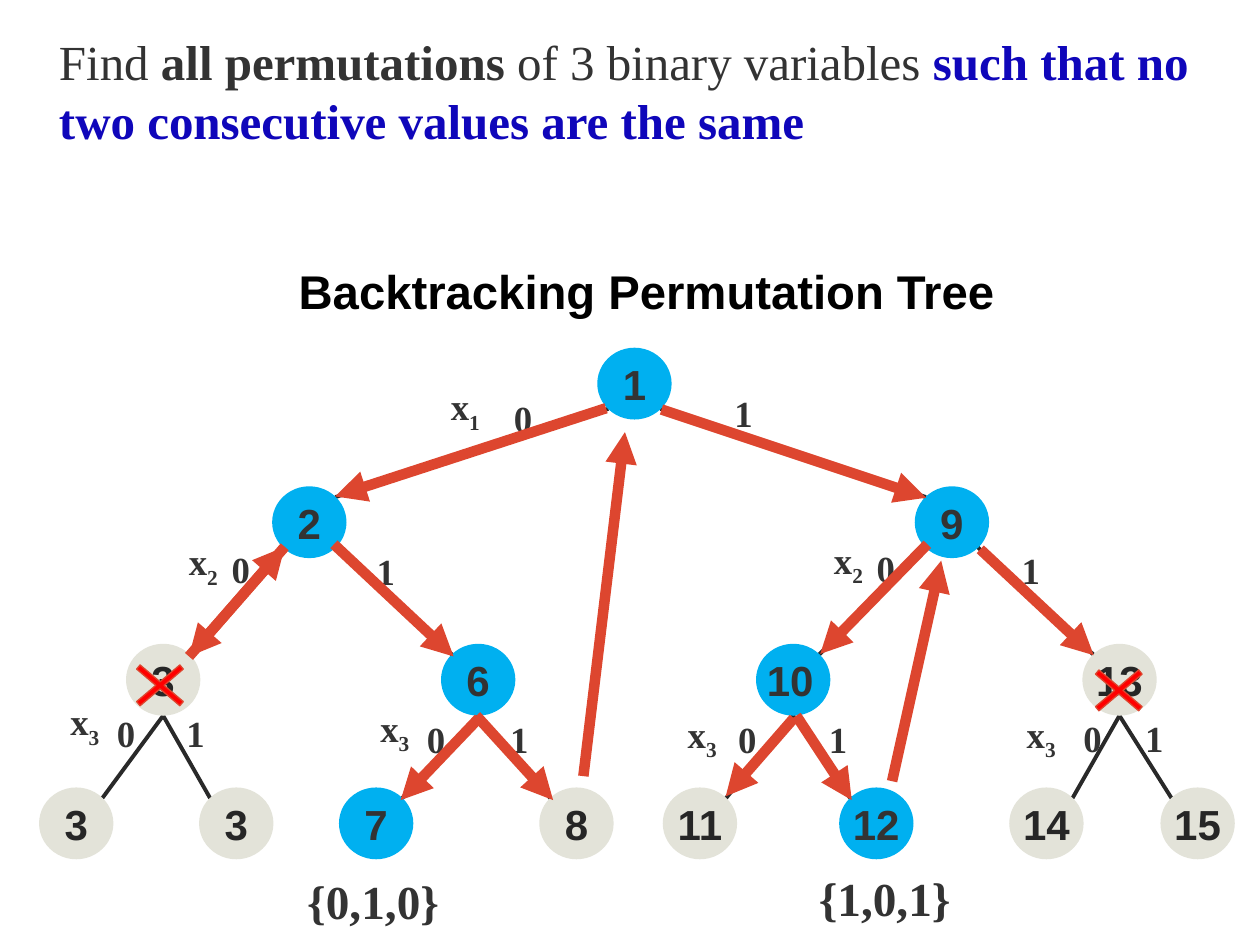
from lxml.etree import SubElement
from pptx import Presentation
from pptx.dml.color import RGBColor
from pptx.enum.shapes import MSO_CONNECTOR, MSO_SHAPE
from pptx.enum.text import MSO_ANCHOR, MSO_AUTO_SIZE, PP_ALIGN
from pptx.oxml.ns import qn
from pptx.util import Emu, Pt

SERIF, SANS = "Times New Roman", "Arial"
BLACK, DARK, INK, NAVY = "000000", "333333", "262626", "0F06BA"
EDGE, RED, CROSS = "292929", "DD462F", "FF0000"
VISITED, PRUNED = "00B0F0", "E3E3D9"
NODE_W, NODE_H = 59, 57


def px(n):
    return Emu(round(n * 9144))


def rgb(value):
    return RGBColor.from_string(value)


class Canvas:
    def __init__(self, s):
        self.s = s

    def style(self, r, size, font, color, bold=True):
        r.font.size = Pt(size)
        r.font.name = font
        r.font.bold = bold
        r.font.color.rgb = rgb(color)

    def title(self, text, x, y, w, h):
        sp = self.s.shapes.title
        sp.left, sp.top, sp.width, sp.height = map(px, (x, y, w, h))
        tf = sp.text_frame
        tf.text = text
        tf.vertical_anchor = MSO_ANCHOR.MIDDLE
        tf.paragraphs[0].alignment = PP_ALIGN.LEFT
        self.style(tf.paragraphs[0].runs[0], 27, SANS, BLACK)

    def box(self, x, y, w, h, wrap=True):
        tf = self.s.shapes.add_textbox(*map(px, (x, y, w, h))).text_frame
        tf.word_wrap = wrap
        tf.auto_size = MSO_AUTO_SIZE.SHAPE_TO_FIT_TEXT
        return tf.paragraphs[0]

    def sentence(self, parts, x, y, w, h):
        p = self.box(x, y, w, h)
        for text, color, bold in parts:
            r = p.add_run()
            r.text = text
            self.style(r, 28, SERIF, color, bold)

    def label(self, text, x, y, w=35, h=45, size=21, wrap=False):
        p = self.box(x, y, w, h, wrap)
        p.text = text
        p.space_before = Pt(size // 5)
        self.style(p.runs[0], size, SERIF, DARK)
        return p

    def variable(self, index, x, y):
        p = self.label("x", x, y, 48, wrap=True)
        r = p.add_run()
        r.text = index
        self.style(r, 21, SERIF, DARK)
        r._r.get_or_add_rPr().set("baseline", "-25000")

    def shape(self, kind, x, y, w, h, fill):
        sp = self.s.shapes.add_shape(kind, *map(px, (x, y, w, h)))
        sp.shadow.inherit = False
        sp.fill.solid()
        sp.fill.fore_color.rgb = rgb(fill)
        return sp

    def node(self, text, x, y, visited):
        sp = self.shape(MSO_SHAPE.OVAL, x, y, NODE_W, NODE_H, VISITED if visited else PRUNED)
        sp.line.fill.background()
        tf = sp.text_frame
        tf.text = text
        tf.vertical_anchor = MSO_ANCHOR.MIDDLE
        tf.margin_left = tf.margin_right = px(7 if len(text) == 1 else 0)
        tf.margin_top = tf.margin_bottom = px(4)
        p = tf.paragraphs[0]
        p.alignment = PP_ALIGN.LEFT if text == "10" else PP_ALIGN.CENTER
        self.style(p.runs[0], 24, SANS, DARK if visited else INK)

    def cross(self, x, y):
        sp = self.shape(MSO_SHAPE.MATH_MULTIPLY, x, y, 66, 56, CROSS)
        sp.adjustments[0] = 0.077
        sp.line.color.rgb = rgb(RED)
        sp.line.width = Pt(0.75)

    def line(self, x1, y1, x2, y2, color=EDGE, width=2.25):
        cxn = self.s.shapes.add_connector(MSO_CONNECTOR.STRAIGHT, *map(px, (x1, y1, x2, y2)))
        cxn.line.color.rgb = rgb(color)
        cxn.line.width = Pt(width)
        SubElement(cxn._element.spPr, qn("a:effectLst"))
        return cxn

    def arrow(self, x1, y1, x2, y2):
        cxn = self.line(x1, y1, x2, y2, RED, 6)
        SubElement(cxn.line._get_or_add_ln(), qn("a:tailEnd"), type="triangle")


NAMES = ["1", "2", "9", "3", "6", "10", "13", "3", "3", "7", "8", "11", "12", "14", "15"]
LEFTS = [474, 216, 726, 100, 350, 600, 859, 31, 158, 269, 428, 526, 666, 801, 921]
LEVEL_TOPS = [276, 386, 511, 625]
ON_PATH = {1, 2, 3, 5, 6, 10, 13}
ZEROS = [(398, 309), (329, 564), (83, 559), (174, 429), (576, 564), (850, 563), (686, 428)]
ONES = [(573, 305), (289, 431), (138, 559), (395, 564), (648, 564), (899, 563), (801, 430)]
VARIABLES = [("1", 348, 300), ("2", 140, 423), ("2", 652, 422), ("3", 46, 550),
             ("3", 292, 555), ("3", 536, 560), ("3", 805, 560)]
ARROWS = [(481, 324, 266, 394), (226, 434, 150, 521), (150, 521, 226, 434),
          (265, 432, 360, 521), (380, 570, 318, 635), (378, 568, 439, 635),
          (463, 616, 496, 343), (525, 325, 735, 395), (736, 432, 651, 519),
          (630, 570, 576, 632), (632, 568, 676, 635), (708, 620, 747, 445),
          (778, 436, 868, 520)]


def corner(i):
    return LEFTS[i - 1], LEVEL_TOPS[i.bit_length() - 1]


def rim(i, across, down):
    x, y = corner(i)
    return x + NODE_W * (0.5 + across), y + NODE_H * (0.5 + down)


def main():
    prs = Presentation()
    prs.slide_width, prs.slide_height = px(1000), px(750)
    c = Canvas(prs.slides.add_slide(prs.slide_layouts[5]))
    c.title("Backtracking Permutation Tree", 227, 196, 638, 69)

    diagonal = 0.35
    for child in range(2, 16):
        parent = child // 2
        side = 1 if child % 2 else -1
        start = rim(parent, side * diagonal, diagonal) if parent < 4 else rim(parent, 0, 0.5)
        c.line(*start, *rim(child, -side * diagonal, -diagonal))

    for text, spots in (("0", ZEROS), ("1", ONES)):
        for x, y in spots:
            c.label(text, x, y)
    for variable in VARIABLES:
        c.variable(*variable)
    for i, name in enumerate(NAMES, 1):
        c.node(name, *corner(i), i in ON_PATH)
    for arrow in ARROWS:
        c.arrow(*arrow)
    for x, y in ((94, 516), (855, 520)):
        c.cross(x, y)

    c.label("{0,1,0}", 234, 687, 140, 56, 27, True)
    c.label("{1,0,1}", 640, 685, 140, 56, 27, True)
    c.sentence([("Find ", DARK, False), ("all permutations ", DARK, True),
                ("of 3 binary variables ", DARK, False),
                ("such that no two consecutive values are the same", NAVY, True)],
               37, 20, 933, 104)
    prs.save("out.pptx")


if __name__ == "__main__":
    main()
